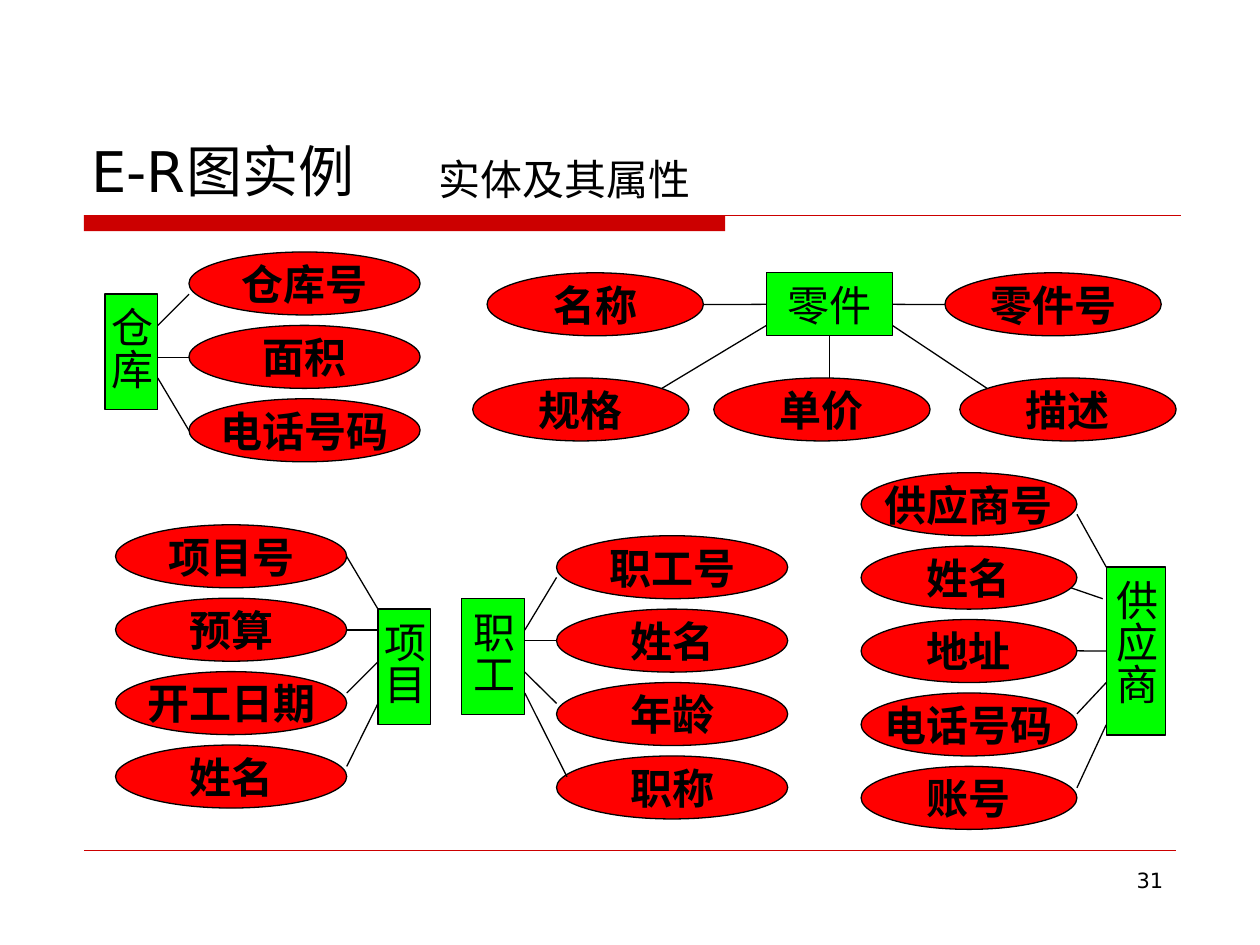
from dataclasses import dataclass

from lxml import etree
from pptx import Presentation
from pptx import util as u
from pptx.dml import color
from pptx.enum import shapes, text
from pptx.oxml import ns


@dataclass(frozen=True)
class Theme:
    accent: str = "CC0000"
    entity: str = "00FF00"
    attribute: str = "FF0000"
    ink: str = "000000"
    title_font: str = "DejaVu Sans"
    body_font: str = "Arial"
    title_size: int = 32
    body_size: int = 24
    number_size: int = 12


THEME = Theme()
OVAL_H = 1.27
OVAL_STEP = 1.48

COLUMNS = [
    ("职工", (9.31, 12.07, 1.27, 2.33), (11.22, 10.8, 4.66),
     ["职工号", "姓名", "年龄", "职称"],
     [(11.22, 11.64, 10.58, 12.7), (11.22, 12.91, 10.58, 12.91),
      (11.22, 14.18, 10.58, 13.55), (11.43, 15.66, 10.58, 13.97)]),
    ("项目", (7.62, 12.28, 1.06, 2.33), (2.33, 10.58, 4.66),
     ["项目号", "预算", "开工日期", "姓名"],
     [(6.99, 11.22, 7.62, 12.28), (6.99, 12.7, 7.62, 12.7),
      (6.99, 13.97, 7.62, 13.34), (6.99, 15.45, 7.62, 14.18)]),
    ("仓库", (2.12, 5.93, 1.06, 2.33), (3.81, 5.08, 4.66),
     ["仓库号", "面积", "电话号码"],
     [(3.81, 5.93, 3.18, 6.56), (3.81, 7.2, 3.18, 7.2),
      (3.81, 8.68, 3.18, 7.62)]),
    ("供应商", (22.3, 11.43, 1.2, 3.39), (17.36, 9.53, 4.35),
     ["供应商号", "姓名", "地址", "电话号码", "账号"],
     [(21.71, 10.37, 22.3, 11.43), (21.59, 11.85, 22.23, 12.07),
      (21.71, 13.12, 22.3, 13.12), (21.71, 14.39, 22.3, 13.76),
      (21.71, 15.88, 22.3, 14.61)]),
]

PART_BOX = (15.45, 5.5, 2.54, 1.27)
PART_OVAL_W = 4.36
PART_OVALS = [("零件号", 19.05, 5.5), ("名称", 9.82, 5.5), ("单价", 14.39, 7.62),
              ("规格", 9.53, 7.62), ("描述", 19.35, 7.62)]
PART_LINKS = [(14.18, 6.14, 15.45, 6.14), (13.34, 7.83, 15.45, 6.56),
              (16.72, 7.62, 16.72, 6.77), (19.9, 7.83, 17.99, 6.56),
              (19.05, 6.14, 17.99, 6.14)]


def rgb(value):
    return color.RGBColor.from_string(value)


def cm(*values):
    return [u.Cm(v) for v in values]


def write(tf, words, size, font=THEME.body_font, bold=False,
          align=text.PP_ALIGN.LEFT):
    p = tf.paragraphs[0]
    p.text = words
    p.alignment = align
    p.font.name = font
    p.font.size = u.Pt(size)
    p.font.bold = bold
    p.font.color.rgb = rgb(THEME.ink)


def add_node(parent, kind, words, box, fill, bold=False, vertical=False):
    sp = parent.add_shape(kind, *cm(*box))
    sp.shadow.inherit = False
    sp.fill.solid()
    sp.fill.fore_color.rgb = rgb(fill)
    sp.line.color.rgb = rgb(THEME.ink)
    sp.line.width = u.Pt(0.75)
    tf = sp.text_frame
    tf.word_wrap = False
    tf.vertical_anchor = text.MSO_ANCHOR.MIDDLE
    if vertical:
        tf.margin_left = tf.margin_right = u.Cm(0.13)
        tf.margin_top = tf.margin_bottom = u.Cm(0.25)
        tf._txBody.bodyPr.set("vert", "eaVert")
    write(tf, words, THEME.body_size, bold=bold, align=text.PP_ALIGN.CENTER)
    return sp


def add_entity(parent, words, box, vertical=True):
    return add_node(parent, shapes.MSO_SHAPE.RECTANGLE, words, box,
                    THEME.entity, vertical=vertical)


def add_attribute(parent, words, left, top, width):
    add_node(parent, shapes.MSO_SHAPE.OVAL, words, (left, top, width, OVAL_H),
             THEME.attribute, bold=True)


def add_line(parent, ends, stroke=THEME.ink, width=0.75):
    line = parent.add_connector(shapes.MSO_CONNECTOR.STRAIGHT, *cm(*ends))
    line.line.color.rgb = rgb(stroke)
    line.line.width = u.Pt(width)
    etree.SubElement(line._element.spPr, ns.qn("a:effectLst"))
    return line


def add_links(parent, links, entity, box):
    left, top, width, height = box
    sides = [(left + width / 2, top), (left, top + height / 2),
             (left + width / 2, top + height), (left + width, top + height / 2)]
    for ends in links:
        line = add_line(parent, ends)
        for site, (x, y) in enumerate(sides):
            if abs(x - ends[2]) < 0.02 and abs(y - ends[3]) < 0.02:
                line.end_connect(entity, site)


def add_column(slide, name, box, ovals, attributes, links):
    group = slide.shapes.add_group_shape().shapes
    entity = add_entity(group, name, box)
    left, top, width = ovals
    for i, attribute in enumerate(attributes):
        add_attribute(group, attribute, left, top + i * OVAL_STEP, width)
    add_links(group, links, entity, box)


def add_part(slide):
    group = slide.shapes.add_group_shape().shapes
    entity = add_entity(group, "零件", PART_BOX, vertical=False)
    for words, left, top in PART_OVALS:
        add_attribute(group, words, left, top, PART_OVAL_W)
    add_links(group, PART_LINKS, entity, PART_BOX)


def add_label(slide, words, box, size, font=THEME.body_font, wrap=True,
              align=text.PP_ALIGN.LEFT):
    tf = slide.shapes.add_textbox(*cm(*box)).text_frame
    tf.word_wrap = wrap
    write(tf, words, size, font, align=align)


def add_title(slide, words):
    sp = slide.shapes.title
    sp.left, sp.top, sp.width, sp.height = cm(1.59, 0.85, 22.23, 3.39)
    tf = sp.text_frame
    tf.auto_size = text.MSO_AUTO_SIZE.NONE
    tf.vertical_anchor = text.MSO_ANCHOR.BOTTOM
    write(tf, words, THEME.title_size, THEME.title_font)


def add_rules(slide):
    bar = slide.shapes.add_shape(shapes.MSO_SHAPE.RECTANGLE,
                                 *cm(1.69, 4.34, 12.93, 0.32))
    bar.shadow.inherit = False
    bar.fill.solid()
    bar.fill.fore_color.rgb = rgb(THEME.accent)
    bar.line.fill.background()
    add_line(slide.shapes, (1.69, 4.34, 23.8, 4.34), THEME.accent)
    add_line(slide.shapes, (1.69, 17.15, 23.71, 17.15), THEME.accent, 0.25)


def main():
    prs = Presentation()
    prs.slide_width, prs.slide_height = cm(25.4, 19.05)
    slide = prs.slides.add_slide(prs.slide_layouts[5])
    add_title(slide, "E-R图实例")
    add_rules(slide)
    for column in COLUMNS:
        add_column(slide, *column)
    add_part(slide)
    add_label(slide, "实体及其属性", (8.59, 2.96, 5.59, 1.27), THEME.body_size,
              wrap=False)
    add_label(slide, "31", (18.2, 17.36, 5.5, 1.32), THEME.number_size,
              THEME.title_font, align=text.PP_ALIGN.RIGHT)
    prs.save("out.pptx")


if __name__ == "__main__":
    main()
